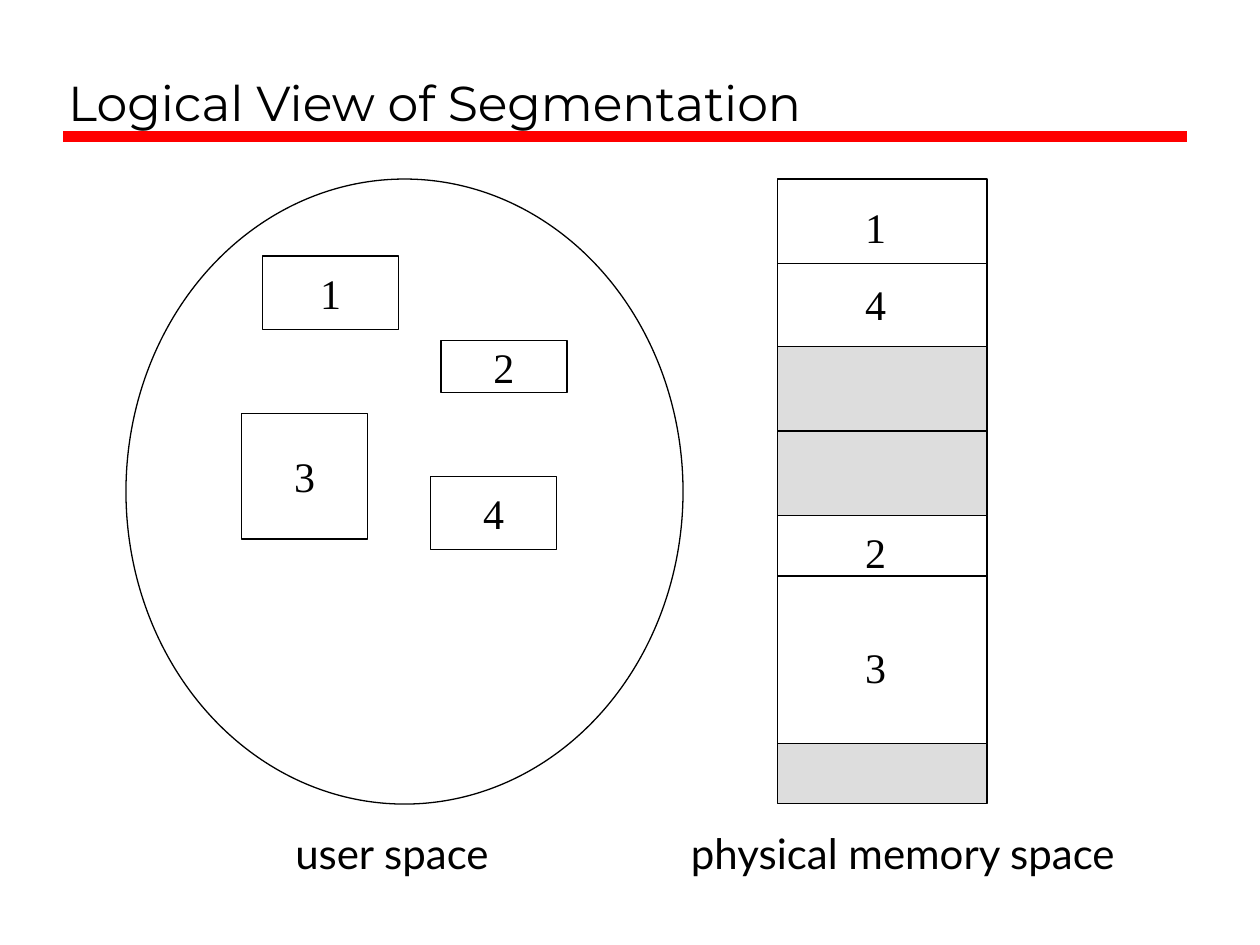
from pptx import Presentation
from pptx.dml.color import RGBColor
from pptx.enum.shapes import MSO_CONNECTOR, MSO_SHAPE
from pptx.enum.text import MSO_ANCHOR, PP_ALIGN
from pptx.oxml.ns import qn
from pptx.util import Cm, Pt
from lxml import etree

BLACK = RGBColor(0x00, 0x00, 0x00)
WHITE = RGBColor(0xFF, 0xFF, 0xFF)
GREY = RGBColor(0xDD, 0xDD, 0xDD)
RED = RGBColor(0xFF, 0x00, 0x00)
NUMBER_FONT = "Times New Roman"
LABEL_FONT = "Lato"

presentation = Presentation()
presentation.slide_width = Cm(25.4)
presentation.slide_height = Cm(19.05)
slide = presentation.slides.add_slide(presentation.slide_layouts[5])


def write(shape, text, font_name, size=24, align=PP_ALIGN.CENTER,
          anchor=MSO_ANCHOR.MIDDLE, wrap=False):
    frame = shape.text_frame
    frame.word_wrap = wrap
    frame.vertical_anchor = anchor
    paragraph = frame.paragraphs[0]
    paragraph.alignment = align
    run = paragraph.add_run()
    run.text = text
    run.font.name = font_name
    run.font.size = Pt(size)
    run.font.color.rgb = BLACK


def add_outlined(kind, left, top, width, height, fill=WHITE):
    shape = slide.shapes.add_shape(kind, Cm(left), Cm(top), Cm(width), Cm(height))
    shape.shadow.inherit = False
    shape.fill.solid()
    shape.fill.fore_color.rgb = fill
    shape.line.color.rgb = BLACK
    shape.line.width = Pt(0.75)
    return shape


# Title
title = slide.shapes.title
title.left, title.top, title.width, title.height = Cm(1.12), Cm(0.43), Cm(22.78), Cm(2.34)
write(title, "Logical View of Segmentation", "Montserrat", 28,
      PP_ALIGN.LEFT, MSO_ANCHOR.BOTTOM, True)

# User space with its segments
add_outlined(MSO_SHAPE.OVAL, 2.54, 3.61, 11.23, 12.6)
segments = [
    ("1", 5.29, 5.16, 2.75, 1.48),
    ("3", 4.87, 8.33, 2.54, 2.54),
    ("2", 8.89, 6.86, 2.54, 1.06),
    ("4", 8.68, 9.6, 2.54, 1.48),
]
for number, left, top, width, height in segments:
    write(add_outlined(MSO_SHAPE.RECTANGLE, left, top, width, height), number, NUMBER_FONT)

# Physical memory: used and free blocks
memory_left, memory_width = 15.67, 4.23
memory_right = memory_left + memory_width
blocks = [(3.61, 6.99, WHITE), (6.99, 10.39, GREY), (10.39, 14.99, WHITE), (14.99, 16.2, GREY)]
for top, bottom, fill in blocks:
    add_outlined(MSO_SHAPE.RECTANGLE, memory_left, top, memory_width, bottom - top, fill)

# Title rule and memory dividers
rules = [(1.27, 23.92, 2.75, RED, 6)]
rules += [(memory_left, memory_right, y, BLACK, 0.75) for y in (5.31, 8.69, 11.61)]
for start, end, y, color, weight in rules:
    rule = slide.shapes.add_connector(MSO_CONNECTOR.STRAIGHT, Cm(start), Cm(y), Cm(end), Cm(y))
    rule.line.color.rgb = color
    rule.line.width = Pt(weight)
    etree.SubElement(rule._element.spPr, qn("a:effectLst"))

# Segment numbers in memory and the captions
labels = [(number, NUMBER_FONT, 17.19, top, 0.91)
          for number, top in (("1", 3.94), ("4", 5.49), ("2", 10.49), ("3", 12.8))]
labels += [("user space ", LABEL_FONT, 5.33, 16.56, 5.36),
           ("physical memory space", LABEL_FONT, 12.93, 16.56, 10.54)]
for text, font_name, left, top, width in labels:
    box = slide.shapes.add_textbox(Cm(left), Cm(top), Cm(width), Cm(1.27))
    write(box, text, font_name)

presentation.save("out.pptx")
